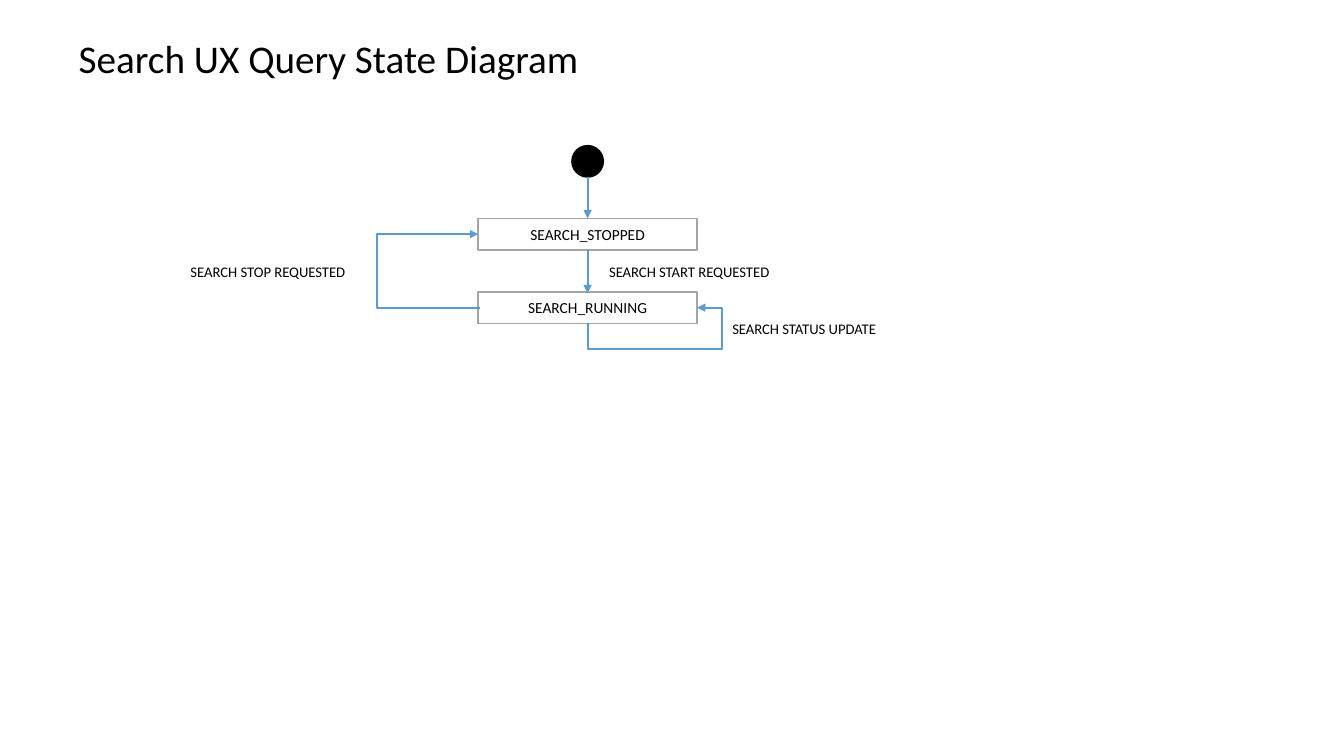
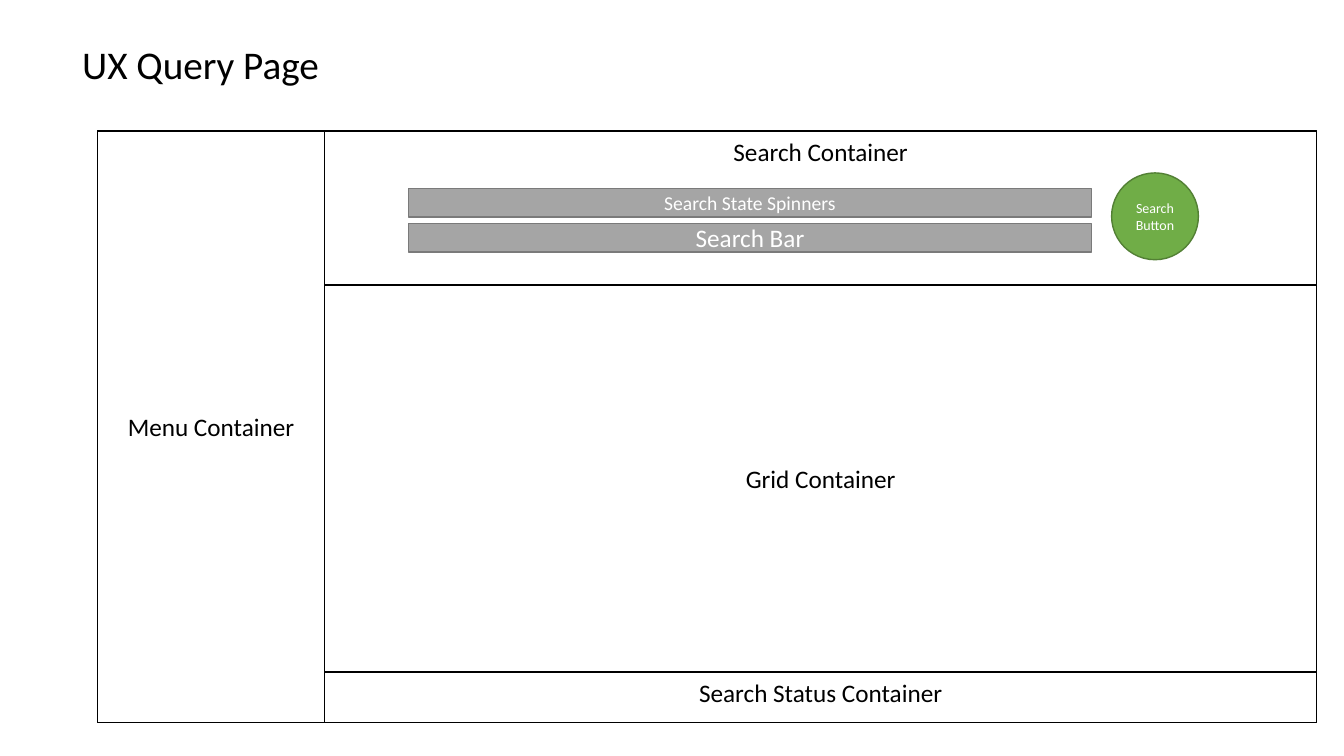
from lxml import etree
from pptx import Presentation
from pptx.dml.color import RGBColor
from pptx.enum.shapes import MSO_CONNECTOR, MSO_SHAPE
from pptx.enum.text import MSO_ANCHOR, MSO_AUTO_SIZE, PP_ALIGN
from pptx.oxml.ns import qn
from pptx.util import Pt

RECTANGLE, OVAL = MSO_SHAPE.RECTANGLE, MSO_SHAPE.OVAL
STRAIGHT, ELBOW = MSO_CONNECTOR.STRAIGHT, MSO_CONNECTOR.ELBOW
TOP, MIDDLE = MSO_ANCHOR.TOP, MSO_ANCHOR.MIDDLE
LEFT, CENTER = PP_ALIGN.LEFT, PP_ALIGN.CENTER
NO_AUTOFIT = MSO_AUTO_SIZE.NONE

FONT = "Calibri"
COLORS = {
    "black": "000000",
    "white": "FFFFFF",
    "blue": "5B9BD5",
    "gray": "A5A5A5",
    "dark gray": "7A7A7A",
    "green": "70AD47",
    "dark green": "538035",
}
TITLE_ONLY = 5
# Connection sites of a rectangle
SITE_LEFT, SITE_BOTTOM, SITE_RIGHT = 1, 2, 3


def rgb(name):
    return RGBColor.from_string(COLORS[name])


def write(shape, text, size, color="black", align=CENTER, anchor=MIDDLE):
    frame = shape.text_frame
    frame.word_wrap = True
    frame.auto_size = NO_AUTOFIT
    frame.vertical_anchor = anchor
    paragraph = frame.paragraphs[0]
    paragraph.alignment = align
    run = paragraph.add_run()
    run.text = text
    run.font.name = FONT
    run.font.size = Pt(size)
    run.font.color.rgb = rgb(color)


def add_titled_slide(presentation, title, left, top):
    slide = presentation.slides.add_slide(presentation.slide_layouts[TITLE_ONLY])
    shape = slide.shapes.title
    shape.left, shape.top, shape.width, shape.height = Pt(left), Pt(top), Pt(835), Pt(42)
    write(shape, title, 28, align=LEFT, anchor=TOP)
    return slide


def add_box(slide, left, top, width, height, fill="white", line="black", kind=RECTANGLE):
    shape = slide.shapes.add_shape(kind, Pt(left), Pt(top), Pt(width), Pt(height))
    shape.shadow.inherit = False
    shape.fill.solid()
    shape.fill.fore_color.rgb = rgb(fill)
    shape.line.color.rgb = rgb(line)
    shape.line.width = Pt(1)
    return shape


def add_label(slide, text, left, top, width):
    label = slide.shapes.add_textbox(Pt(left), Pt(top), Pt(width), Pt(20))
    write(label, text, 10.5, align=LEFT, anchor=TOP)


def add_arrow(slide, begin, end, kind=STRAIGHT):
    connector = slide.shapes.add_connector(kind, *map(Pt, begin + end))
    connector.line.color.rgb = rgb("blue")
    connector.line.width = Pt(1.5)
    line = connector.line._get_or_add_ln()
    etree.SubElement(line, qn("a:tailEnd"), type="triangle")
    etree.SubElement(connector._element.spPr, qn("a:effectLst"))
    return connector


def add_loop(slide, source, target, box, rotation, flipped, adjustments):
    """Elbow arrow between (shape, site) pairs; adjustments are shares of its box."""
    connector = add_arrow(slide, (0, 0), (1, 1), ELBOW)
    connector.begin_connect(*source)
    connector.end_connect(*target)
    connector.left, connector.top, connector.width, connector.height = map(Pt, box)

    properties = connector._element.spPr
    transform = properties.find(qn("a:xfrm"))
    transform.set("rot", str(rotation * 60000))
    for flip in ("flipH", "flipV"):
        transform.set(flip, str(int(flipped)))

    geometry = properties.find(qn("a:prstGeom"))
    geometry.set("prst", f"bentConnector{len(adjustments) + 2}")
    guides = geometry.find(qn("a:avLst"))
    for number, share in enumerate(adjustments, 1):
        etree.SubElement(guides, qn("a:gd"), name=f"adj{number}",
                         fmla=f"val {round(share * 100000)}")


def draw_state_diagram(slide, left, top):
    width, height, start_size = 156.5, 22.5, 22.5
    stopped_top, running_top = top + 52, top + 104.5
    middle, right = left + width / 2, left + width
    running_bottom = running_top + height
    running_middle = running_top + height / 2
    stopped_middle = stopped_top + height / 2

    # Start node and states
    add_box(slide, middle - start_size / 2, top, start_size, start_size, "black", kind=OVAL)
    states = []
    for name, state_top in (("SEARCH_STOPPED", stopped_top), ("SEARCH_RUNNING", running_top)):
        state = add_box(slide, left, state_top, width, height, line="gray")
        write(state, name, 11)
        states.append(state)
    stopped, running = states

    # Downward transitions
    add_arrow(slide, (middle, top + start_size), (middle, stopped_top))
    add_arrow(slide, (middle, stopped_top + height), (middle, running_top + 1))

    # Status update loop, turned a quarter: its box is as wide as the rise
    rise, run = running_bottom - running_middle, right - middle
    loop_box = ((middle + right - rise) / 2, (running_bottom + running_middle - run) / 2,
                rise, run)
    add_loop(slide, (running, SITE_BOTTOM), (running, SITE_RIGHT), loop_box, 90, True,
             (-18 / rise, 1 + 18 / run))

    # Stop loop, 73 points out to the left
    add_loop(slide, (running, SITE_LEFT), (stopped, SITE_LEFT),
             (left, stopped_middle, 1, running_middle - stopped_middle), 180, False, (73.5,))

    # Transition labels
    add_label(slide, "SEARCH START REQUESTED", left + 86.5, top + 80, 138)
    add_label(slide, "SEARCH STATUS UPDATE", left + 174.5, top + 121, 122)
    add_label(slide, "SEARCH STOP REQUESTED", left - 212.5, top + 80.5, 128)


def draw_search_controls(slide, left, top):
    for text, size, offset in (("Search State Spinners", 14, 41), ("Search Bar", 18, 66)):
        bar = add_box(slide, left + 60, top + offset, 487.5, 20.5, "gray", "dark gray")
        write(bar, text, size, "white")
    button = add_box(slide, left + 562, top + 30, 62, 62, "green", "dark green", OVAL)
    write(button, "Search Button", 10, "white")


def draw_page_layout(slide, left, top, width, height):
    menu_width, search_height, status_height = 162.5, 110, 36
    content_left, content_width = left + menu_width, width - menu_width
    grid_height = height - search_height - status_height

    # Page frame and menu column
    add_box(slide, left, top, width, height)
    write(add_box(slide, left, top, menu_width, height), "Menu Container", 18)

    # Stacked content rows
    row_top = top
    for text, row_height, anchor in (("Search Container", search_height, TOP),
                                     ("Grid Container", grid_height, MIDDLE),
                                     ("Search Status Container", status_height, TOP)):
        row = add_box(slide, content_left, row_top, content_width, row_height)
        write(row, text, 18, anchor=anchor)
        row_top += row_height

    draw_search_controls(slide, content_left, top)


def main():
    presentation = Presentation()
    presentation.slide_width, presentation.slide_height = Pt(960), Pt(540)

    slide = add_titled_slide(presentation, "Search UX Query State Diagram", 49, 21)
    draw_state_diagram(slide, 341.5, 104)

    slide = add_titled_slide(presentation, "UX Query Page", 51.5, 25)
    draw_page_layout(slide, 69.5, 93.5, 871, 422.5)

    presentation.save("out.pptx")


if __name__ == "__main__":
    main()
